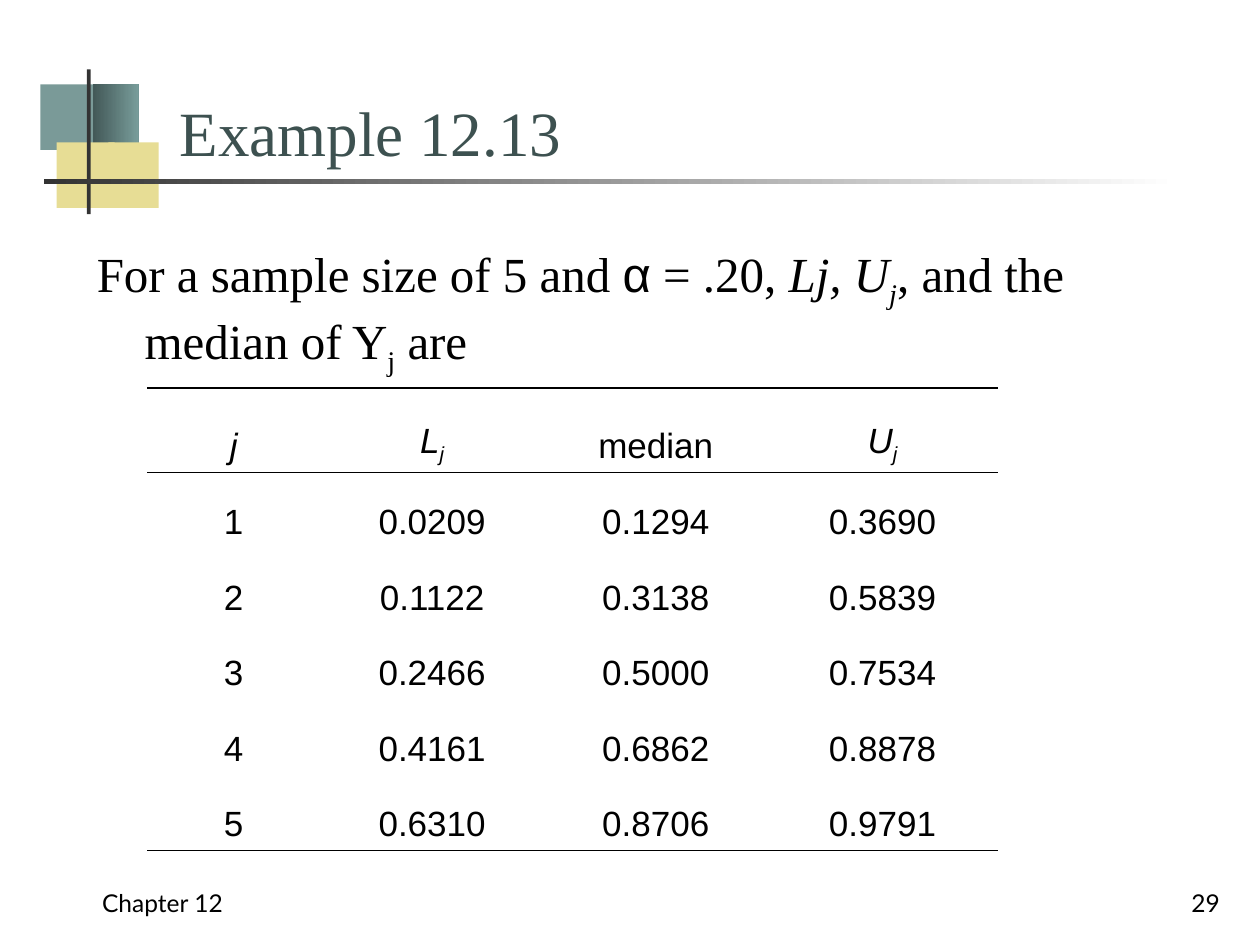
import pptx
import pptx.dml.color
import pptx.enum.shapes
import pptx.enum.text
import pptx.oxml.ns
import pptx.util
import lxml.etree

RGBColor = pptx.dml.color.RGBColor
Inches = pptx.util.Inches
Pt = pptx.util.Pt
ALIGN = pptx.enum.text.PP_ALIGN
ANCHOR = pptx.enum.text.MSO_ANCHOR

BLACK = RGBColor(0x00, 0x00, 0x00)
WHITE = RGBColor(0xFF, 0xFF, 0xFF)
CHARCOAL = RGBColor(0x33, 0x33, 0x33)
TEAL = RGBColor(0x7A, 0x9A, 0x98)
TEAL_DARK = RGBColor(0x43, 0x59, 0x58)
TEAL_LIGHT = RGBColor(0x78, 0x9C, 0x9A)
SAND = RGBColor(0xE7, 0xDD, 0x95)
TITLE_GREEN = RGBColor(0x3D, 0x51, 0x50)

SERIF, SANS, FOOTER_FONT = "Times New Roman", "Arial", "Lato"
ITALIC, SUBSCRIPT = "italic", "subscript"

ORNAMENTS = [
    ((0.32, 0.67, 0.48, 0.52), [TEAL]),
    ((0.74, 0.67, 0.36, 0.52), [TEAL_DARK, TEAL_LIGHT]),
    ((0.45, 1.13, 0.46, 0.52), [SAND]),
    ((0.86, 1.13, 0.40, 0.52), [SAND]),
    ((0.69, 0.55, 0.03, 1.15), [CHARCOAL]),
    ((0.35, 1.42, 9.00, 0.04), [CHARCOAL, WHITE]),
]
STATEMENT = [
    ("For a sample size of 5 and ",),
    ("α", SANS),
    (" = .20, ",),
    ("Lj, U", ITALIC),
    ("j", ITALIC, SUBSCRIPT),
    (", and the median of Y",),
    ("j", SUBSCRIPT),
    (" are",),
]
HEADINGS = [
    [("j", ITALIC)],
    [("L", ITALIC), ("j", ITALIC, SUBSCRIPT)],
    [("median",)],
    [("U", ITALIC), ("j", ITALIC, SUBSCRIPT)],
]
LIMITS = [
    ("1", "0.0209", "0.1294", "0.3690"),
    ("2", "0.1122", "0.3138", "0.5839"),
    ("3", "0.2466", "0.5000", "0.7534"),
    ("4", "0.4161", "0.6862", "0.8878"),
    ("5", "0.6310", "0.8706", "0.9791"),
]
COLUMN_WIDTHS = [1.37, 1.78, 1.77, 1.83]
HEADING_HEIGHT, ROW_HEIGHT = 0.57, 0.5
HEAVY_RULE, LIGHT_RULE = 1.08, 0.45


def add_ornament(slide, place, colors):
    ornament = slide.shapes.add_shape(
        pptx.enum.shapes.MSO_SHAPE.RECTANGLE, *map(Inches, place))
    ornament.shadow.inherit = False
    ornament.line.fill.background()
    if len(colors) == 1:
        ornament.fill.solid()
        ornament.fill.fore_color.rgb = colors[0]
        return
    ornament.fill.gradient()
    ornament.fill.gradient_angle = 0
    for position, (stop, color) in enumerate(zip(ornament.fill.gradient_stops, colors)):
        stop.position = position
        stop.color.rgb = color


def write(paragraph, pieces, size, font, color=BLACK, align=ALIGN.LEFT):
    paragraph.alignment = align
    paragraph.font.size = Pt(size)
    paragraph.font.color.rgb = color
    if not any(SANS in styles for _, *styles in pieces):
        paragraph.font.name = font
    for text, *styles in pieces:
        run = paragraph.add_run()
        run.text = text
        run.font.name = SANS if SANS in styles else font
        if ITALIC in styles:
            run.font.italic = True
        if SUBSCRIPT in styles:
            run.font._element.set("baseline", "-25000")


def add_text(slide, place, pieces, size, font, anchor=ANCHOR.BOTTOM, **look):
    frame = slide.shapes.add_textbox(*map(Inches, place)).text_frame
    frame.word_wrap = True
    frame.vertical_anchor = anchor
    write(frame.paragraphs[0], pieces, size, font, **look)
    return frame


def add_statement(slide):
    frame = add_text(slide, (0.67, 1.83, 8.5, 1.42), STATEMENT, 28, SERIF,
                     anchor=ANCHOR.TOP)
    frame.margin_top = Inches(0.1)
    properties = frame.paragraphs[0]._p.get_or_add_pPr()
    properties.set("marL", str(Inches(0.38)))
    properties.set("indent", str(-Inches(0.38)))


def rule_cell(cell, rules):
    properties = cell._tc.get_or_add_tcPr()
    qn = pptx.oxml.ns.qn
    for order, side in enumerate("LRTB"):
        border = lxml.etree.Element(qn(f"a:ln{side}"))
        if side in rules:
            border.set("w", str(Pt(rules[side])))
            solid = lxml.etree.SubElement(border, qn("a:solidFill"))
            lxml.etree.SubElement(solid, qn("a:srgbClr"), val=str(BLACK))
        else:
            lxml.etree.SubElement(border, qn("a:noFill"))
        properties.insert(order, border)


def add_limits_table(slide):
    rows = [HEADINGS] + [[[(value,)] for value in row] for row in LIMITS]
    last = len(rows) - 1
    rules = {0: {"T": HEAVY_RULE, "B": LIGHT_RULE},
             1: {"T": LIGHT_RULE},
             last: {"B": LIGHT_RULE}}
    heights = [HEADING_HEIGHT] + [ROW_HEIGHT] * last
    table = slide.shapes.add_table(
        len(rows), len(COLUMN_WIDTHS), Inches(1.17), Inches(3.08),
        Inches(sum(COLUMN_WIDTHS)), Inches(sum(heights))).table
    table.first_row = False
    table.horz_banding = False
    for column, width in zip(table.columns, COLUMN_WIDTHS):
        column.width = Inches(width)
    for r, (row, height) in enumerate(zip(rows, heights)):
        table.rows[r].height = Inches(height)
        for c, pieces in enumerate(row):
            cell = table.cell(r, c)
            cell.fill.background()
            cell.vertical_anchor = ANCHOR.BOTTOM
            rule_cell(cell, rules.get(r, {}))
            paragraph = cell.text_frame.paragraphs[0]
            paragraph.line_spacing = 1.5
            write(paragraph, pieces, 20, SANS, align=ALIGN.CENTER)


def main():
    deck = pptx.Presentation()
    deck.slide_width, deck.slide_height = Inches(10), Inches(7.5)
    slide = deck.slides.add_slide(deck.slide_layouts[6])
    for place, colors in ORNAMENTS:
        add_ornament(slide, place, colors)
    add_text(slide, (1.33, 0.42, 7.77, 0.97), [("Example 12.13",)], 36, SERIF,
             color=TITLE_GREEN)
    add_statement(slide)
    add_text(slide, (0.25, 6.83, 2.08, 0.5), [("Chapter 12",)], 14, FOOTER_FONT,
             align=ALIGN.CENTER)
    add_text(slide, (7.7, 6.83, 2.08, 0.5), [("29",)], 14, FOOTER_FONT,
             align=ALIGN.RIGHT)
    add_limits_table(slide)
    deck.save("out.pptx")


if __name__ == "__main__":
    main()
